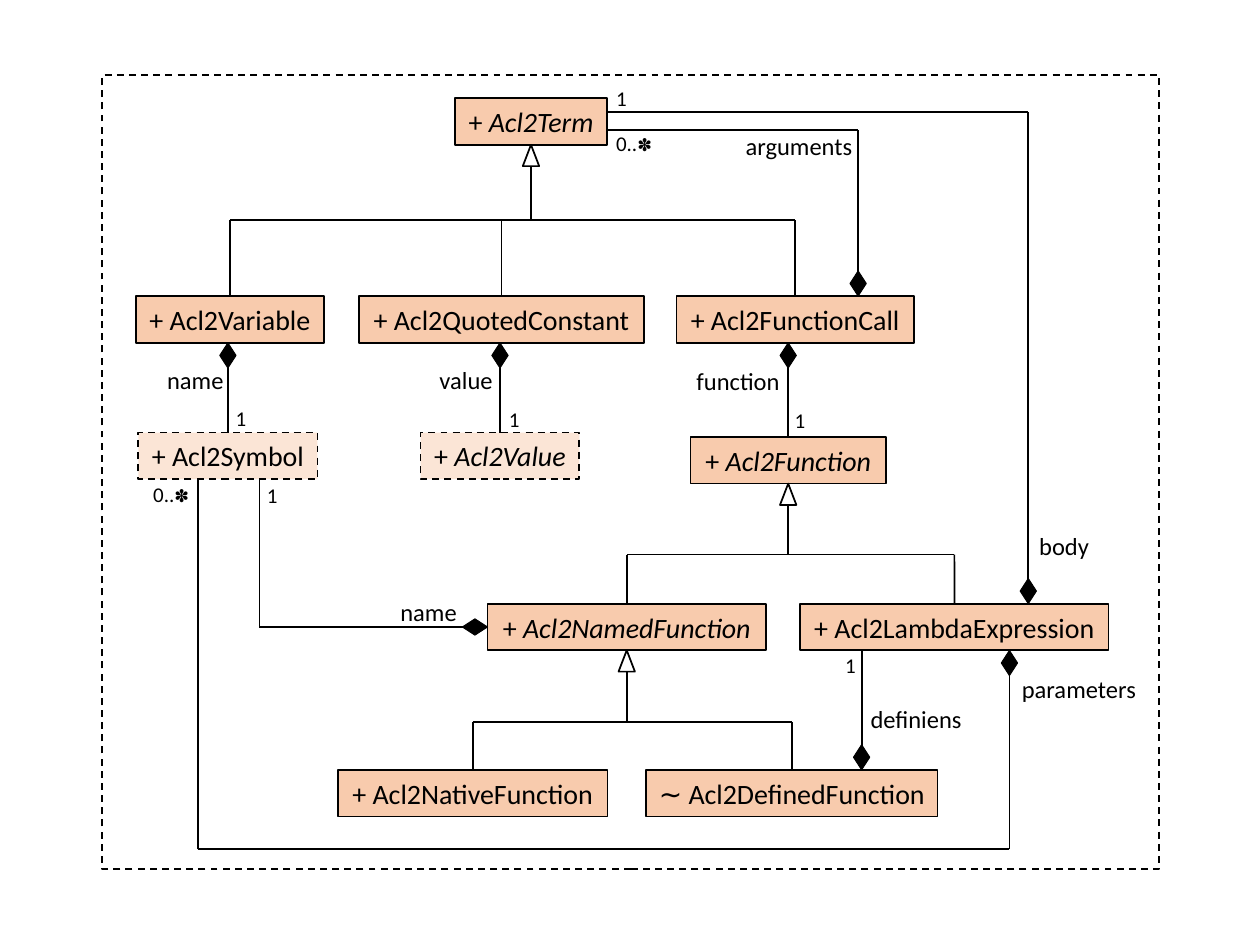
from dataclasses import dataclass
from enum import IntEnum

from lxml.etree import SubElement
from pptx import Presentation
from pptx.dml.color import RGBColor
from pptx.enum.dml import MSO_LINE_DASH_STYLE as Dash
from pptx.enum.shapes import MSO_CONNECTOR as Connector, MSO_SHAPE as Preset
from pptx.enum.text import MSO_ANCHOR as Anchoring, MSO_AUTO_SIZE as AutoSize, PP_ALIGN as Align
from pptx.oxml.ns import qn
from pptx.util import Cm, Pt

COLORS = {"ink": "000000", "own": "F8CBAD", "external": "FBE5D6", "paper": "FFFFFF"}
FONT = "Calibri"
BOX_HEIGHT = 0.94
TRIANGLE_WIDTH, TRIANGLE_HEIGHT = 0.33, 0.43
DIAMOND_LENGTH, DIAMOND_WIDTH = 0.51, 0.33


class Side(IntEnum):
    TOP = 0
    LEFT = 1
    BOTTOM = 2
    RIGHT = 3


@dataclass
class ClassBox:
    name: str
    left: float
    top: float
    width: float
    abstract: bool = False
    external: bool = False
    visibility: str = "+"
    shape: object = None

    def middle(self, side: Side) -> tuple:
        x, y = self.left + self.width / 2, self.top + BOX_HEIGHT / 2
        return {
            Side.TOP: (x, self.top),
            Side.LEFT: (self.left, y),
            Side.BOTTOM: (x, self.top + BOX_HEIGHT),
            Side.RIGHT: (self.left + self.width, y),
        }[side]


@dataclass
class Joint:
    """Middle of one side of a class box."""
    box: ClassBox
    side: Side


@dataclass
class Label:
    text: str
    left: float
    top: float
    width: float
    height: float = 0.86
    size: int = 14


@dataclass
class Inheritance:
    parent: ClassBox
    children: list
    bar_y: float


def color(name: str) -> RGBColor:
    return RGBColor.from_string(COLORS[name])


def place(end) -> tuple:
    return end.box.middle(end.side) if isinstance(end, Joint) else end


def draw_shape(page, preset, left, top, width, height, fill=None, weight=1.0, dashed=False):
    shape = page.shapes.add_shape(preset, Cm(left), Cm(top), Cm(width), Cm(height))
    shape.shadow.inherit = False
    if fill:
        shape.fill.solid()
        shape.fill.fore_color.rgb = color(fill)
    else:
        shape.fill.background()
    shape.line.color.rgb = color("ink")
    shape.line.width = Pt(weight)
    if dashed:
        shape.line.dash_style = Dash.DASH
    return shape


def start_text(shape, size: int):
    frame = shape.text_frame
    frame.word_wrap = False
    frame.auto_size = AutoSize.SHAPE_TO_FIT_TEXT
    para = frame.paragraphs[0]
    para.font.name, para.font.size = FONT, Pt(size)
    para.font.color.rgb = color("ink")
    return para


def add_span(para, text: str):
    span = para.add_run()
    span.text = text
    return span


def draw_class(page, box: ClassBox) -> None:
    box.shape = draw_shape(page, Preset.RECTANGLE, box.left, box.top, box.width, BOX_HEIGHT,
                           "external" if box.external else "own", dashed=box.external)
    para = start_text(box.shape, 16)
    para.alignment = Align.CENTER
    if box.external:
        box.shape.text_frame.vertical_anchor = Anchoring.TOP
    if box.abstract:
        add_span(para, box.visibility + " ")
        add_span(para, box.name).font.italic = True
    else:
        add_span(para, f"{box.visibility} {box.name}")


def draw_label(page, label: Label) -> None:
    shape = page.shapes.add_textbox(Cm(label.left), Cm(label.top), Cm(label.width), Cm(label.height))
    para = start_text(shape, label.size)
    words, star, _ = label.text.partition("✽")
    add_span(para, words)
    if star:
        add_span(para, star).font.size = Pt(10)


def draw_line(page, start, end) -> None:
    line = page.shapes.add_connector(Connector.STRAIGHT, *map(Cm, place(start) + place(end)))
    line.line.color.rgb = color("ink")
    line.line.width = Pt(1)
    SubElement(line._element.spPr, qn("a:effectLst"))
    if isinstance(start, Joint):
        line.begin_connect(start.box.shape, start.side)
    if isinstance(end, Joint):
        line.end_connect(end.box.shape, end.side)


def draw_inheritance(page, tree: Inheritance) -> None:
    x, y = tree.parent.middle(Side.BOTTOM)
    draw_line(page, (x, y + TRIANGLE_HEIGHT), (x, tree.bar_y))
    draw_shape(page, Preset.ISOSCELES_TRIANGLE, x - TRIANGLE_WIDTH / 2, y,
               TRIANGLE_WIDTH, TRIANGLE_HEIGHT, "paper")
    drops = [child.middle(Side.TOP)[0] for child in tree.children]
    draw_line(page, (drops[0], tree.bar_y), (drops[-1], tree.bar_y))
    for child, drop in zip(tree.children, drops):
        draw_line(page, (drop, tree.bar_y), Joint(child, Side.TOP))


def draw_composition(page, route: list) -> None:
    """Run a line along the route, with a diamond at its start."""
    for start, end in zip(route, route[1:]):
        draw_line(page, start, end)
    (x, y), (next_x, next_y) = place(route[0]), place(route[1])
    half = DIAMOND_LENGTH / 2
    vertical = abs(next_y - y) > abs(next_x - x)
    if vertical:
        y += half if next_y > y else -half
    else:
        x += half if next_x > x else -half
    diamond = draw_shape(page, Preset.DIAMOND, x - half, y - DIAMOND_WIDTH / 2,
                         DIAMOND_LENGTH, DIAMOND_WIDTH, "ink", 0.5)
    diamond.rotation = 270 if vertical else 0


# Classes, row by row
term = ClassBox("Acl2Term", 9.17, 1.98, 3.07, abstract=True)
variable = ClassBox("Acl2Variable", 2.74, 5.97, 3.79)
constant = ClassBox("Acl2QuotedConstant", 7.24, 5.97, 5.74)
call = ClassBox("Acl2FunctionCall", 13.64, 5.97, 4.78)
symbol = ClassBox("Acl2Symbol", 2.79, 8.72, 3.61, external=True)
value = ClassBox("Acl2Value", 8.48, 8.72, 3.2, abstract=True, external=True)
function = ClassBox("Acl2Function", 13.92, 8.81, 3.94, abstract=True)
named = ClassBox("Acl2NamedFunction", 9.83, 12.17, 5.61, abstract=True)
lambda_box = ClassBox("Acl2LambdaExpression", 16.13, 12.17, 6.22)
native = ClassBox("Acl2NativeFunction", 6.81, 15.52, 5.44)
defined = ClassBox("Acl2DefinedFunction", 13.03, 15.52, 5.87, visibility="∼")
CLASSES = [term, variable, constant, call, symbol, value, function, named, lambda_box, native, defined]

INHERITANCES = [
    Inheritance(term, [variable, constant, call], 4.44),
    Inheritance(function, [named, lambda_box], 11.18),
    Inheritance(named, [native, defined], 14.55),
]

# Composition routes, from the owner to the part
term_right = term.left + term.width
symbol_bottom, lambda_bottom = symbol.top + BOX_HEIGHT, lambda_box.top + BOX_HEIGHT
named_left = Joint(named, Side.LEFT)
name_y = place(named_left)[1]
COMPOSITIONS = [
    [(17.3, call.top), (17.3, 2.62), (term_right, 2.62)],
    [(20.73, lambda_box.top), (20.73, 2.26), (term_right, 2.26)],
    [(20.35, lambda_bottom), (20.35, 17.12), (3.99, 17.12), (3.99, symbol_bottom)],
    [named_left, (5.23, name_y), (5.23, symbol_bottom)],
    [(17.37, defined.top), (17.37, lambda_bottom)],
] + [[(part.middle(Side.TOP)[0], owner.top + BOX_HEIGHT), Joint(part, Side.TOP)]
     for owner, part in ((variable, symbol), (constant, value), (call, function))]

ROLES = [
    Label("arguments", 14.78, 2.51, 2.69), Label("body", 20.7, 10.59, 1.52),
    Label("name", 3.12, 7.24, 1.65), Label("value", 8.61, 7.24, 1.6),
    Label("function", 13.79, 7.26, 2.21), Label("name", 7.82, 11.91, 1.65),
    Label("parameters", 20.35, 13.46, 2.84), Label("definiens", 17.3, 14.07, 2.36),
]
ONES = [(12.17, 1.6), (4.5, 8.05), (10.01, 8.08), (15.77, 8.1), (5.13, 9.6), (16.79, 13.03)]
MANIES = [(12.17, 2.51), (2.84, 9.58)]
COUNTS = [Label(text, x, y, width, 0.76, 12)
          for text, width, spots in (("1", 0.74, ONES), ("0..✽", 1.27, MANIES)) for x, y in spots]


def main() -> None:
    deck = Presentation()
    deck.slide_width, deck.slide_height = Cm(25.4), Cm(19.05)
    page = deck.slides.add_slide(deck.slide_layouts[6])
    for box in CLASSES:
        draw_class(page, box)
    for tree in INHERITANCES:
        draw_inheritance(page, tree)
    for route in COMPOSITIONS:
        draw_composition(page, route)
    for label in ROLES + COUNTS:
        draw_label(page, label)
    # Package border
    draw_shape(page, Preset.RECTANGLE, 2.06, 1.52, 21.31, 16, dashed=True)
    deck.save("out.pptx")


if __name__ == "__main__":
    main()
